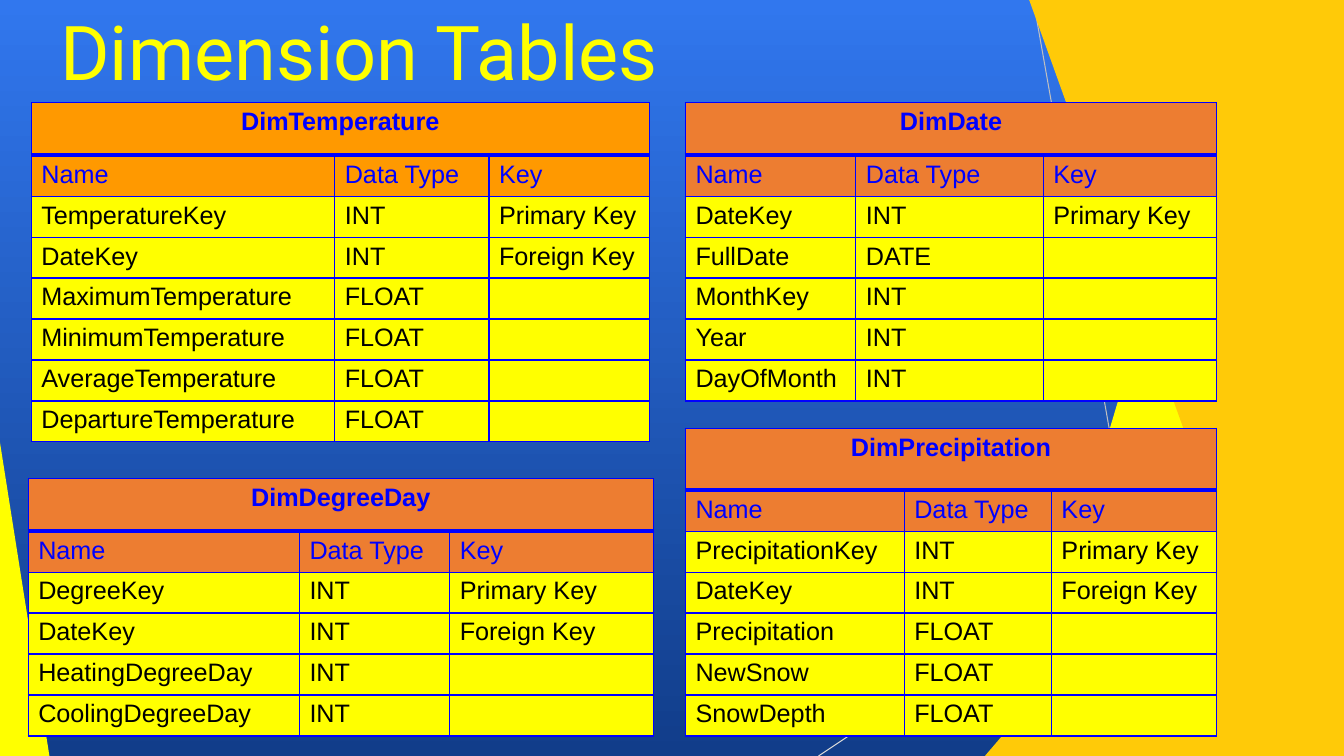
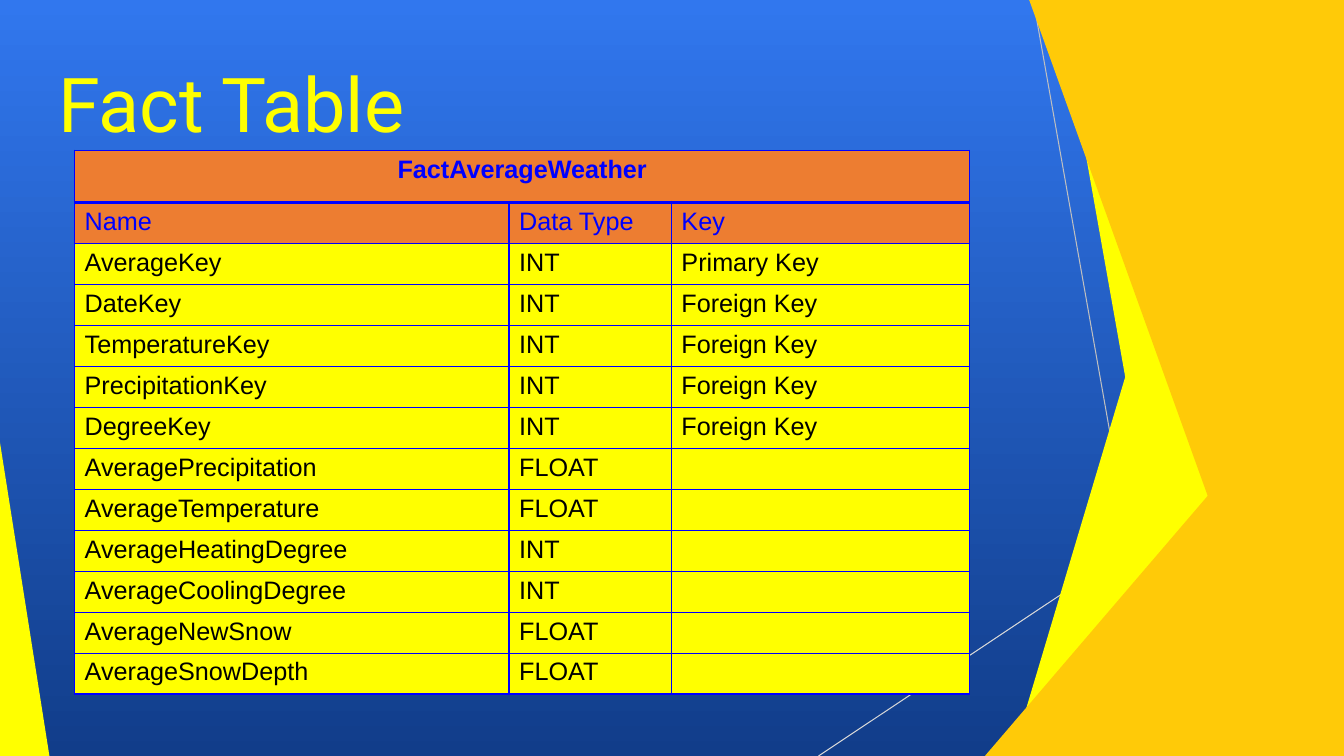
from typing import NamedTuple

import pptx
import pptx.dml.color
import pptx.enum.shapes
import pptx.enum.text
import pptx.oxml
import pptx.oxml.ns
import pptx.util
from lxml import etree

SLIDE_W = pptx.util.Inches(13.333)
SLIDE_H = pptx.util.Inches(7.5)

YELLOW, GOLD = "FFFF00", "FFCA08"
ORANGE, AMBER = "ED7D31", "FF9900"
BLUE, BLACK = "0000FF", "000000"
GRADIENT = ("3177EE", "113D8A")
TITLE_FONT, TABLE_FONT = "Roboto", "Arial"

# All lengths are percentages of the slide's width or height.
TITLE_W, TITLE_H = 70.5, 19.2
ROW_H = 5.42
COLUMN_NAMES = ("Name", "Data Type", "Key")
PRIMARY, FOREIGN = "Primary Key", "Foreign Key"


class Ray(NamedTuple):
    x1: float
    y1: float
    x2: float
    y2: float
    color: str


class Wedge(NamedTuple):
    """Full-height area between a slanted edge and the right of the slide."""
    top_x: float
    bottom_x: float
    color: str


class Corner(NamedTuple):
    """Triangle standing on the bottom edge; apex is 0 (left) or 1 (right)."""
    left: float
    top: float
    width: float
    apex: int
    color: str


class Title(NamedTuple):
    text: str
    left: float
    top: float


class Schema(NamedTuple):
    name: str
    left: float
    top: float
    columns: tuple[float, ...]
    fields: tuple[tuple[str, str, str], ...]
    header_color: str = ORANGE
    header_h: float = 6.93


RAYS = (
    Ray(76.88, 0, 86.85, 100, "BFBFBF"),
    Ray(100, 53.73, 60.9, 100, "D8D8D8"),
)
FACETS = (
    Wedge(92.1, 75.3, YELLOW),
    Wedge(78.75, 88.73, YELLOW),
    Corner(73.28, 44.53, 26.72, 1, GOLD),
    Wedge(76.58, 96.83, GOLD),
    Wedge(97.73, 89.4, GOLD),
    Wedge(89.7, 98.85, GOLD),
    Corner(85.05, 52.4, 14.95, 1, GOLD),
    Corner(0, 58.53, 3.68, 0, YELLOW),
)

DIMENSIONS = (
    Schema("DimDate", 51, 13.6, (12.68, 13.95, 12.9), (
        ("DateKey", "INT", PRIMARY),
        ("FullDate", "DATE", ""),
        ("MonthKey", "INT", ""),
        ("Year", "INT", ""),
        ("DayOfMonth", "INT", ""),
    )),
    Schema("DimTemperature", 2.33, 13.6, (22.58, 11.48, 11.93), (
        ("TemperatureKey", "INT", PRIMARY),
        ("DateKey", "INT", FOREIGN),
        ("MaximumTemperature", "FLOAT", ""),
        ("MinimumTemperature", "FLOAT", ""),
        ("AverageTemperature", "FLOAT", ""),
        ("DepartureTemperature", "FLOAT", ""),
    ), header_color=AMBER),
    Schema("DimPrecipitation", 51, 56.67, (16.28, 10.95, 12.3), (
        ("PrecipitationKey", "INT", PRIMARY),
        ("DateKey", "INT", FOREIGN),
        ("Precipitation", "FLOAT", ""),
        ("NewSnow", "FLOAT", ""),
        ("SnowDepth", "FLOAT", ""),
    ), header_h=8.17),
    Schema("DimDegreeDay", 2.1, 63.33, (20.18, 11.18, 15.15), (
        ("DegreeKey", "INT", PRIMARY),
        ("DateKey", "INT", FOREIGN),
        ("HeatingDegreeDay", "INT", ""),
        ("CoolingDegreeDay", "INT", ""),
    )),
)
FACTS = (
    Schema("FactAverageWeather", 5.55, 19.87, (32.33, 12.08, 22.2), (
        ("AverageKey", "INT", PRIMARY),
        ("DateKey", "INT", FOREIGN),
        ("TemperatureKey", "INT", FOREIGN),
        ("PrecipitationKey", "INT", FOREIGN),
        ("DegreeKey", "INT", FOREIGN),
        ("AveragePrecipitation", "FLOAT", ""),
        ("AverageTemperature", "FLOAT", ""),
        ("AverageHeatingDegree", "INT", ""),
        ("AverageCoolingDegree", "INT", ""),
        ("AverageNewSnow", "FLOAT", ""),
        ("AverageSnowDepth", "FLOAT", ""),
    )),
)
SLIDES = (
    (Title("Dimension Tables", 3.75, 0), DIMENSIONS),
    (Title("Fact Table", 3.6, 6.93), FACTS),
)


def rgb(color: str) -> pptx.dml.color.RGBColor:
    return pptx.dml.color.RGBColor.from_string(color)


def across(percent: float) -> int:
    return round(SLIDE_W * percent / 100)


def down(percent: float) -> int:
    return round(SLIDE_H * percent / 100)


def paint(sp, color: str) -> None:
    sp.shadow.inherit = False
    sp.fill.solid()
    sp.fill.fore_color.rgb = rgb(color)
    sp.line.fill.background()


def style_runs(p, font: str, size: float, color: str, bold: bool = False) -> None:
    for r in p.runs:
        r.font.name = font
        r.font.size = pptx.util.Pt(size)
        r.font.bold = bold
        r.font.color.rgb = rgb(color)


def set_background(master) -> None:
    fill = master.background.fill
    fill.gradient()
    fill.gradient_angle = 270
    for stop, color in zip(fill.gradient_stops, GRADIENT):
        stop.color.rgb = rgb(color)


def draw_ray(s, ray: Ray) -> None:
    line = s.shapes.add_connector(
        pptx.enum.shapes.MSO_CONNECTOR.STRAIGHT,
        across(ray.x1), down(ray.y1), across(ray.x2), down(ray.y2))
    line.line.color.rgb = rgb(ray.color)
    line.line.width = pptx.util.Pt(0.75)
    etree.SubElement(line._element.spPr, pptx.oxml.ns.qn("a:effectLst"))


def draw_wedge(s, wedge: Wedge) -> None:
    builder = s.shapes.build_freeform(across(wedge.top_x), 0)
    builder.add_line_segments([
        (SLIDE_W, 0), (SLIDE_W, SLIDE_H), (across(wedge.bottom_x), SLIDE_H)])
    paint(builder.convert_to_shape(), wedge.color)


def draw_corner(s, corner: Corner) -> None:
    sp = s.shapes.add_shape(
        pptx.enum.shapes.MSO_SHAPE.ISOSCELES_TRIANGLE,
        across(corner.left), down(corner.top),
        across(corner.width), down(100 - corner.top))
    sp.adjustments[0] = corner.apex
    paint(sp, corner.color)


def draw_decoration(s) -> None:
    for ray in RAYS:
        draw_ray(s, ray)
    for facet in FACETS:
        if isinstance(facet, Wedge):
            draw_wedge(s, facet)
        else:
            draw_corner(s, facet)


def draw_title(s, title: Title) -> None:
    sp = s.shapes.add_textbox(
        across(title.left), down(title.top), across(TITLE_W), down(TITLE_H))
    tf = sp.text_frame
    tf.word_wrap = True
    tf.vertical_anchor = pptx.enum.text.MSO_ANCHOR.TOP
    tf.text = title.text
    style_runs(tf.paragraphs[0], TITLE_FONT, 54, YELLOW)


def set_borders(cell, top: float, bottom: float) -> None:
    """Add blue borders, 1 pt at the sides; widths are in points."""
    tc_pr = cell._tc.get_or_add_tcPr()
    widths = {"lnL": 1, "lnR": 1, "lnT": top, "lnB": bottom}
    for place, (tag, width) in enumerate(widths.items()):
        tc_pr.insert(place, pptx.oxml.parse_xml(
            f'<a:{tag} {pptx.oxml.ns.nsdecls("a")} w="{pptx.util.Pt(width)}">'
            f'<a:solidFill><a:srgbClr val="{BLUE}"/></a:solidFill></a:{tag}>'))


def draw_schema(s, schema: Schema) -> None:
    rows = ((schema.name, "", ""), COLUMN_NAMES, *schema.fields)
    heights = [schema.header_h] + [ROW_H] * (len(rows) - 1)
    table = s.shapes.add_table(
        len(rows), len(schema.columns), across(schema.left), down(schema.top),
        across(sum(schema.columns)), down(sum(heights))).table
    table.first_row = table.horz_banding = False
    for column, width in zip(table.columns, schema.columns):
        column.width = across(width)
    for i, (values, height) in enumerate(zip(rows, heights)):
        table.rows[i].height = down(height)
        is_header = i < 2
        for j, value in enumerate(values):
            cell = table.cell(i, j)
            cell.text_frame.text = value
            style_runs(cell.text_frame.paragraphs[0], TABLE_FONT, 18,
                       BLUE if is_header else BLACK, bold=i == 0)
            cell.fill.solid()
            cell.fill.fore_color.rgb = rgb(
                schema.header_color if is_header else YELLOW)
            set_borders(cell, top=3 if i == 1 else 1, bottom=3 if i == 0 else 1)
    name_cell = table.cell(0, 0)
    name_cell.merge(table.cell(0, len(schema.columns) - 1))
    name_cell.text_frame.paragraphs[0].alignment = pptx.enum.text.PP_ALIGN.CENTER


def main() -> None:
    prs = pptx.Presentation()
    prs.slide_width, prs.slide_height = SLIDE_W, SLIDE_H
    set_background(prs.slide_master)
    for title, schemas in SLIDES:
        s = prs.slides.add_slide(prs.slide_layouts[6])
        draw_decoration(s)
        draw_title(s, title)
        for schema in schemas:
            draw_schema(s, schema)
    prs.save("out.pptx")


if __name__ == "__main__":
    main()
